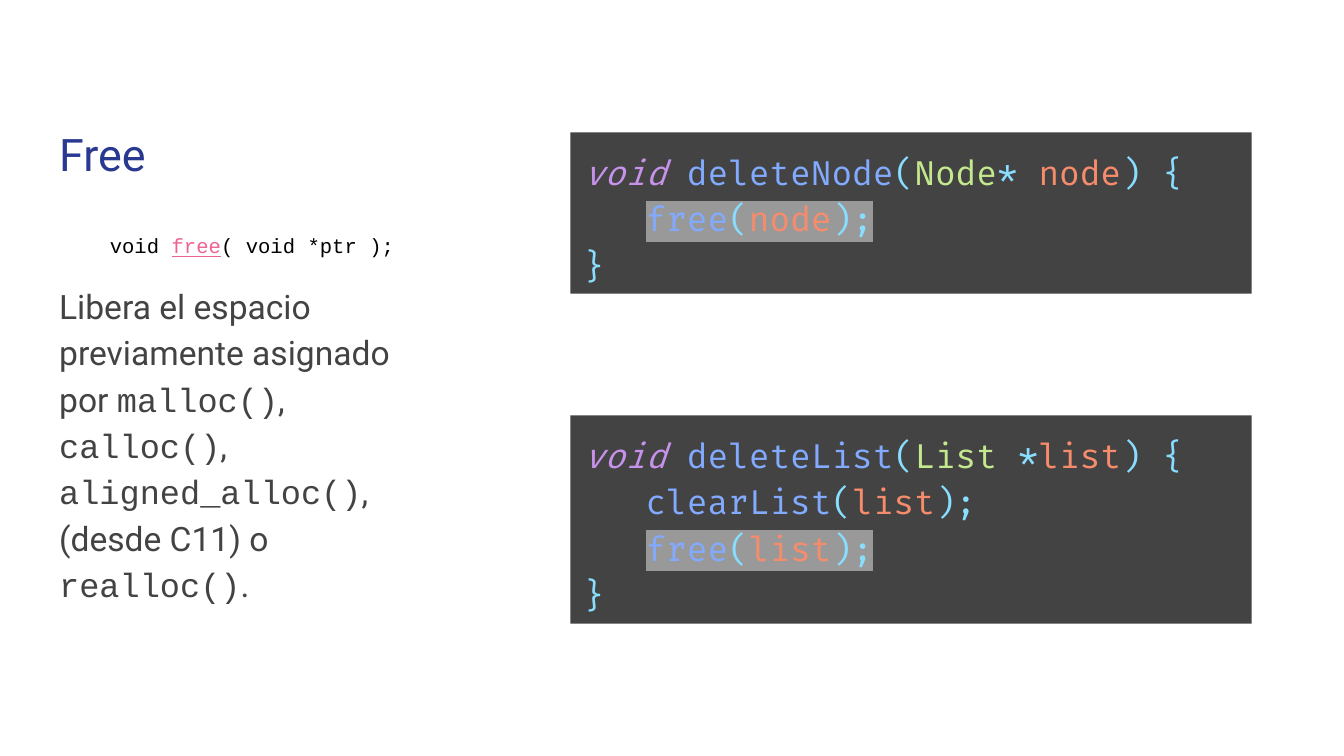
from lxml.etree import SubElement
from pptx import Presentation
from pptx.dml.color import RGBColor
from pptx.enum.shapes import MSO_SHAPE
from pptx.enum.text import MSO_ANCHOR, MSO_AUTO_SIZE, PP_ALIGN
from pptx.oxml.ns import qn
from pptx.util import Inches, Pt

PALETTE = {
    "title": "2A3990", "prose": "434343", "signature": "000000",
    "link": "F06292", "panel": "434343", "highlight": "999999",
    "keyword": "C792EA", "function": "82AAFF", "type": "C3E88D",
    "variable": "F78C6C", "symbol": "89DDFF",
}


def color(hex_string):
    return RGBColor.from_string(hex_string)


def apply(target, values):
    for name, value in values.items():
        setattr(target, name, value)


class SlideBuilder:
    """Holds the style and the current slide; the grid cell is 0.1 inch."""

    cell = Inches(0.1)
    margins = {f"margin_{side}": Inches(0.1)
               for side in ("left", "right", "top", "bottom")}
    prose_font, mono_font, code_font = "Roboto", "Courier New", "Fira Code"

    def __init__(self, presentation):
        self.slide = presentation.slides.add_slide(presentation.slide_layouts[1])

    def box(self, *lengths):
        names = ("left", "top", "width", "height")
        return {name: round(length * self.cell)
                for name, length in zip(names, lengths)}

    def frame(self, shape, anchor, auto_size=MSO_AUTO_SIZE.NONE):
        frame = shape.text_frame
        apply(frame, {"word_wrap": True, "auto_size": auto_size,
                      "vertical_anchor": anchor, **self.margins})
        return frame

    def paragraph(self, frame, index, **values):
        paragraph = frame.paragraphs[0] if index == 0 else frame.add_paragraph()
        defaults = {"alignment": PP_ALIGN.LEFT, "line_spacing": 1.15,
                    "space_before": Pt(0), "space_after": Pt(0)}
        apply(paragraph, {**defaults, **values})
        return paragraph

    def run(self, paragraph, text, role, highlighted=False, **values):
        run = paragraph.add_run()
        run.text = text
        apply(run.font, values)
        run.font.color.rgb = color(PALETTE[role])
        if highlighted:
            properties = run.font._element
            highlight = SubElement(properties, qn("a:highlight"))
            SubElement(highlight, qn("a:srgbClr"), val=PALETTE["highlight"])
            properties.find(qn("a:solidFill")).addnext(highlight)

    def title(self, text, *place):
        shape = self.slide.shapes.title
        apply(shape, self.box(*place))
        paragraph = self.paragraph(self.frame(shape, MSO_ANCHOR.BOTTOM), 0,
                                   line_spacing=1.0)
        self.run(paragraph, text, "title", name=self.prose_font, size=Pt(24))

    def body(self, signature, description, *place):
        shape = self.slide.placeholders[1]
        apply(shape, self.box(*place))
        frame = self.frame(shape, MSO_ANCHOR.TOP)
        # Function signature, with its name as a link-styled run
        first = self.paragraph(frame, 0, alignment=PP_ALIGN.CENTER)
        for text, role in signature:
            self.run(first, text, role, name=self.mono_font, size=Pt(11),
                     underline=role == "link")
        # Description: prose and function names alternate
        second = self.paragraph(frame, 1, space_before=Pt(12), space_after=Pt(12))
        for index, text in enumerate(description):
            font = self.mono_font if index % 2 else self.prose_font
            self.run(second, text, "prose", name=font, size=Pt(18))
        for paragraph in (first, second):
            properties = paragraph._p.get_or_add_pPr()
            properties.set("marL", "0")
            properties.set("indent", "0")
            SubElement(properties, qn("a:buNone"))

    def code(self, lines, left, top, width):
        height = 1.5 + 3.5 * len(lines)
        shape = self.slide.shapes.add_shape(
            MSO_SHAPE.RECTANGLE, *self.box(left, top, width, height).values())
        shape.shadow.inherit = False
        shape.fill.solid()
        shape.fill.fore_color.rgb = color(PALETTE["panel"])
        shape.line.fill.background()
        frame = self.frame(shape, MSO_ANCHOR.TOP, MSO_AUTO_SIZE.SHAPE_TO_FIT_TEXT)
        for index, tokens in enumerate(lines):
            paragraph = self.paragraph(frame, index)
            marked = ("free", "function") in tokens
            for text, role in tokens:
                self.run(paragraph, text, role, marked and bool(text.strip()),
                         name=self.code_font, size=Pt(18),
                         italic=role == "keyword")


def call(function, argument):
    return [("   ", "symbol"), (function, "function"), ("(", "symbol"),
            (argument, "variable"), (");", "symbol")]


def definition(function, type_name, star, argument, calls):
    header = [("void ", "keyword"), (function, "function"), ("(", "symbol"),
              (type_name, "type"), (star, "symbol"), (argument, "variable"),
              (") {", "symbol")]
    return [header, *(call(name, argument) for name in calls), [("}", "symbol")]]


def main():
    # Widescreen 16:9 slide
    presentation = Presentation()
    width = Inches(10)
    apply(presentation, {"slide_width": width, "slide_height": width * 9 // 16})
    builder = SlideBuilder(presentation)

    # Left column: title and explanation
    builder.title("Free", 3.4, 6.1, 30.7, 8.3)
    builder.body(
        [("void ", "signature"), ("free", "link"), ("( void *ptr );", "signature")],
        ["Libera el espacio previamente asignado por ", "malloc()", ", ",
         "calloc()", ", ", "aligned_alloc()", ", (desde C11) o ", "realloc()", "."],
        3.4, 16.04, 30.7, 33.9)

    # Right column: code panels
    panels = [
        (9.86, definition("deleteNode", "Node", "* ", "node", ["free"])),
        (30.9, definition("deleteList", "List ", "*", "list", ["clearList", "free"])),
    ]
    for top, lines in panels:
        builder.code(lines, 42.44, top, 50.7)

    presentation.save("out.pptx")


if __name__ == "__main__":
    main()
